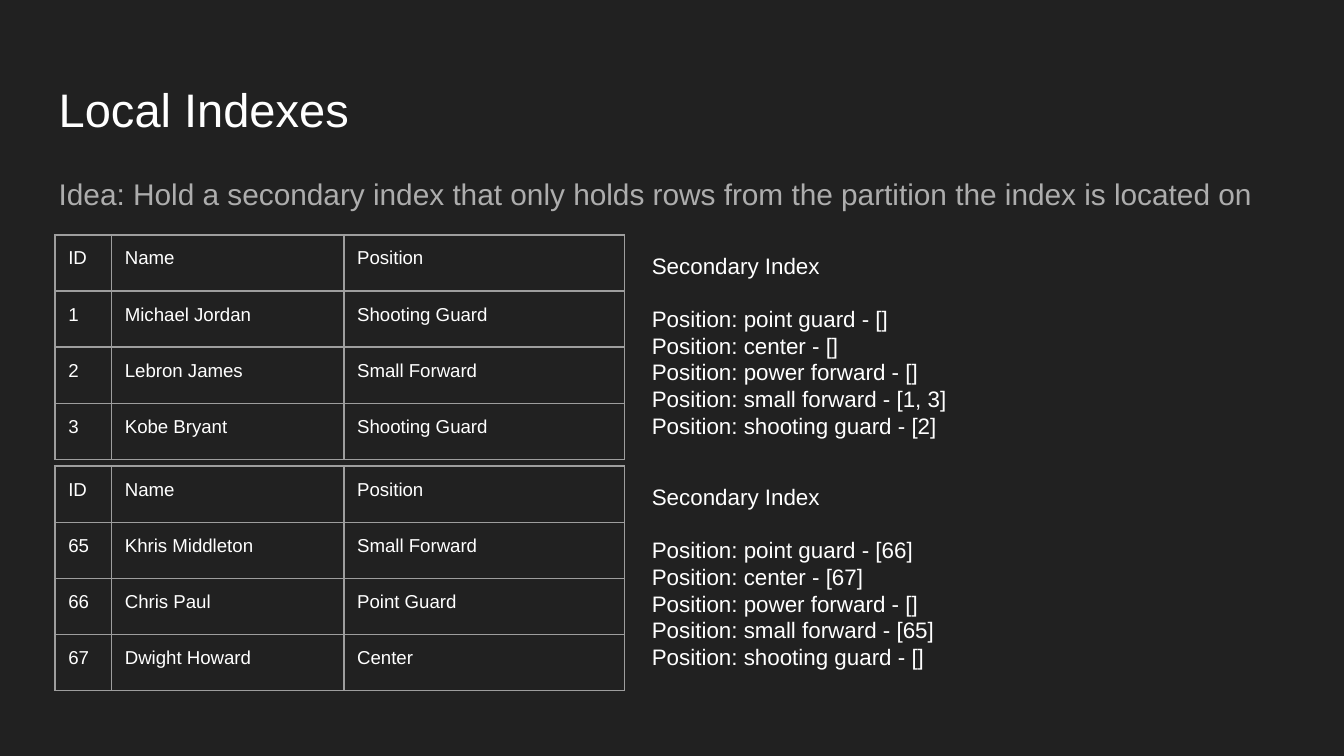
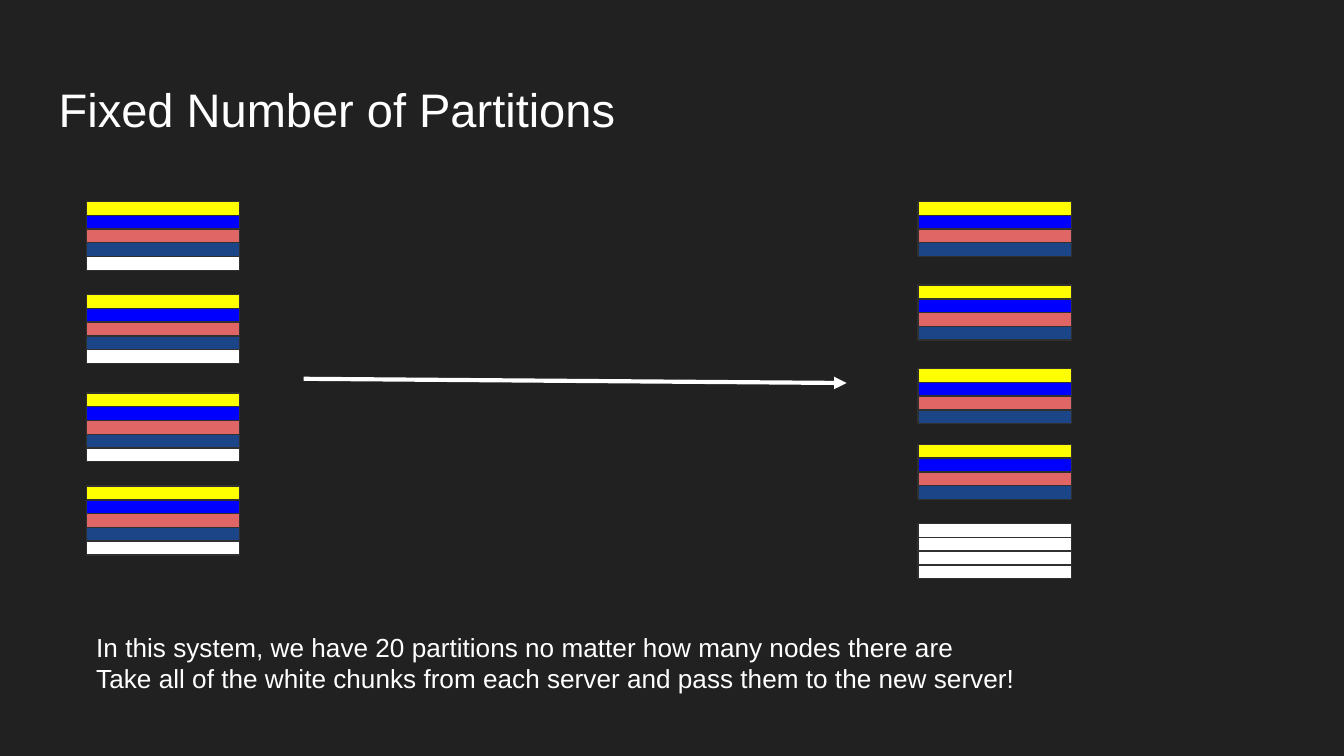
from dataclasses import dataclass

from lxml import etree
from pptx import Presentation
from pptx.dml.color import RGBColor
from pptx.enum.shapes import MSO_CONNECTOR, MSO_SHAPE
from pptx.enum.text import MSO_ANCHOR
from pptx.oxml.ns import qn
from pptx.util import Cm, Pt

RECT = MSO_SHAPE.RECTANGLE
STRAIGHT = MSO_CONNECTOR.STRAIGHT
TOP, BOTTOM = MSO_ANCHOR.TOP, MSO_ANCHOR.BOTTOM


@dataclass(frozen=True)
class Theme:
    font: str = "Arial"
    background: str = "212121"
    text: str = "FFFFFF"
    muted: str = "ADADAD"
    grid: str = "9E9E9E"
    outline: str = "303030"
    yellow: str = "FFFF00"
    blue: str = "0000FF"
    red: str = "E06666"
    navy: str = "1C4587"
    white: str = "FFFFFF"
    title_size: float = 25.2
    body_size: float = 16
    note_size: float = 14
    index_size: float = 12
    table_size: float = 10
    thin: float = 0.75
    thick: float = 2.25
    inset: float = 0.25


def rgb(value):
    return RGBColor.from_string(value)


class Deck:
    """Holds the style and the slide being built; lengths are centimetres."""

    def __init__(self, theme):
        self.theme = theme
        self.prs = Presentation()
        self.prs.slide_width, self.prs.slide_height = Cm(25.4), Cm(14.29)
        self.s = None

    def slide(self, title):
        self.s = self.prs.slides.add_slide(self.prs.slide_layouts[6])
        fill = self.s.background.fill
        fill.solid()
        fill.fore_color.rgb = rgb(self.theme.background)
        self.text([title], 0.86, 1.24, 23.67, 1.6, self.theme.title_size, anchor=BOTTOM)

    def format_text(self, tf, size, color):
        for p in tf.paragraphs:
            for r in p.runs:
                r.font.name = self.theme.font
                r.font.size = Pt(size)
                r.font.color.rgb = rgb(color)

    def set_insets(self, target):
        inset = Cm(self.theme.inset)
        target.margin_left = target.margin_right = inset
        target.margin_top = target.margin_bottom = inset

    def text(self, lines, x, y, w, h, size, color=None, anchor=TOP):
        tf = self.s.shapes.add_textbox(Cm(x), Cm(y), Cm(w), Cm(h)).text_frame
        tf.word_wrap = True
        tf.vertical_anchor = anchor
        self.set_insets(tf)
        tf.text = "\n".join(lines)
        self.format_text(tf, size, color or self.theme.text)
        return tf

    def table(self, rows, x, y, widths, row_height):
        frame = self.s.shapes.add_table(len(rows), len(widths), Cm(x), Cm(y),
                                        Cm(sum(widths)), Cm(row_height * len(rows)))
        table = frame.table
        table.first_row = table.horz_banding = False
        for column, width in zip(table.columns, widths):
            column.width = Cm(width)
        for i, row in enumerate(rows):
            table.rows[i].height = Cm(row_height)
            for j, value in enumerate(row):
                self.cell(table.cell(i, j), value)

    def cell(self, cell, value):
        cell.text_frame.text = value
        self.set_insets(cell)
        self.format_text(cell.text_frame, self.theme.table_size, self.theme.text)
        # Borders come before the fill in the cell properties
        tcPr = cell._tc.get_or_add_tcPr()
        for side in ("a:lnL", "a:lnR", "a:lnT", "a:lnB"):
            ln = etree.SubElement(tcPr, qn(side), w=str(Pt(self.theme.thin)))
            solid = etree.SubElement(ln, qn("a:solidFill"))
            etree.SubElement(solid, qn("a:srgbClr"), val=self.theme.grid)
        cell.fill.background()

    def stack(self, colors, x, y, width=2.9, height=0.26):
        for i, color in enumerate(colors):
            sp = self.s.shapes.add_shape(RECT, Cm(x), Cm(y + i * height), Cm(width), Cm(height))
            sp.shadow.inherit = False
            sp.fill.solid()
            sp.fill.fore_color.rgb = rgb(color)
            sp.line.color.rgb = rgb(self.theme.outline)
            sp.line.width = Pt(self.theme.thin)

    def arrow(self, x1, y1, x2, y2):
        cx = self.s.shapes.add_connector(STRAIGHT, Cm(x1), Cm(y1), Cm(x2), Cm(y2))
        cx.line.color.rgb = rgb(self.theme.text)
        cx.line.width = Pt(self.theme.thick)
        etree.SubElement(cx.line._get_or_add_ln(), qn("a:tailEnd"), type="triangle")
        etree.SubElement(cx._element.spPr, qn("a:effectLst"))


theme = Theme()
deck = Deck(theme)

# Local indexes: each partition with its own secondary index
deck.slide("Local Indexes")
idea = deck.text(
    ["Idea: Hold a secondary index that only holds rows from the partition the index is located on"],
    0.86, 2.97, 23.67, 9.5, theme.body_size, theme.muted)
idea.paragraphs[0].line_spacing = 1.15
idea.paragraphs[0].space_after = Pt(12)

HEADER = ("ID", "Name", "Position")
POSITIONS = ("point guard", "center", "power forward", "small forward", "shooting guard")
partitions = [
    (4.44,
     [("1", "Michael Jordan", "Shooting Guard"),
      ("2", "Lebron James", "Small Forward"),
      ("3", "Kobe Bryant", "Shooting Guard")],
     ("[]", "[]", "[]", "[1, 3]", "[2]")),
    (8.81,
     [("65", "Khris Middleton", "Small Forward"),
      ("66", "Chris Paul", "Point Guard"),
      ("67", "Dwight Howard", "Center")],
     ("[66]", "[67]", "[]", "[65]", "[]")),
]
for top, players, ids in partitions:
    entries = [f"Position: {name} - {found}" for name, found in zip(POSITIONS, ids)]
    index = deck.text(["Secondary Index"] + entries, 12.07, top + 0.07, 11.66, 4.11,
                      theme.index_size)
    index.paragraphs[1].space_before = Pt(14)
    deck.table([HEADER] + players, 1.04, top, (1.07, 4.39, 5.31), 1.06)

# Fixed partitions: four servers hand their white chunks to a fifth
deck.slide("Fixed Number of Partitions")
kept = [theme.yellow, theme.blue, theme.red, theme.navy]
for top in (3.81, 5.57, 7.43, 9.19):
    deck.stack(kept + [theme.white], 1.63, top)
deck.text(["In this system, we have 20 partitions no matter how many nodes there are",
           "Take all of the white chunks from each server and pass them to the new server!"],
          1.57, 11.68, 19.79, 1.7, theme.note_size)
for top in (3.81, 5.39, 6.97, 8.4):
    deck.stack(kept, 17.35, top)
deck.stack([theme.white] * 4, 17.35, 9.9)
deck.arrow(5.74, 7.16, 16, 7.24)

deck.prs.save("out.pptx")
